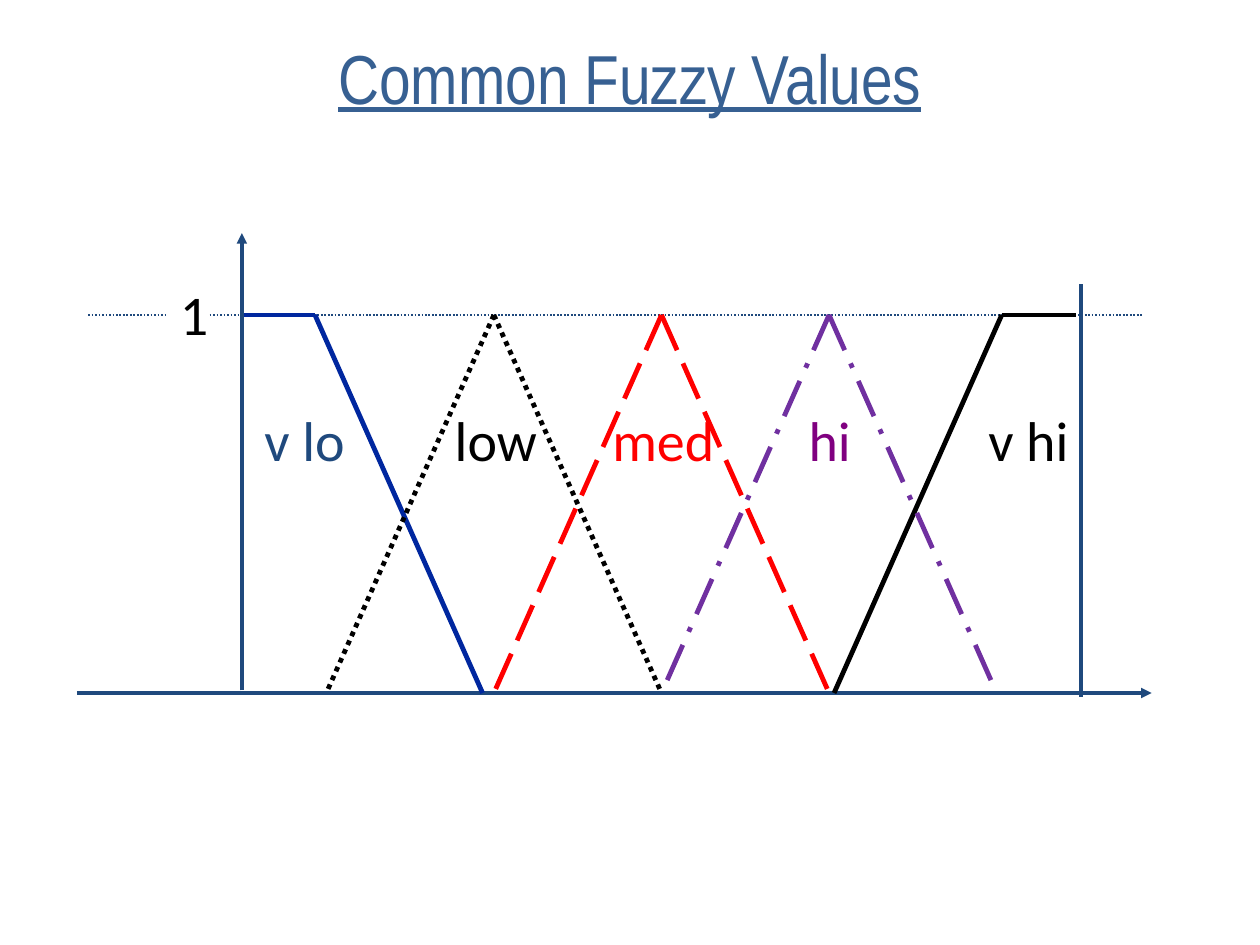
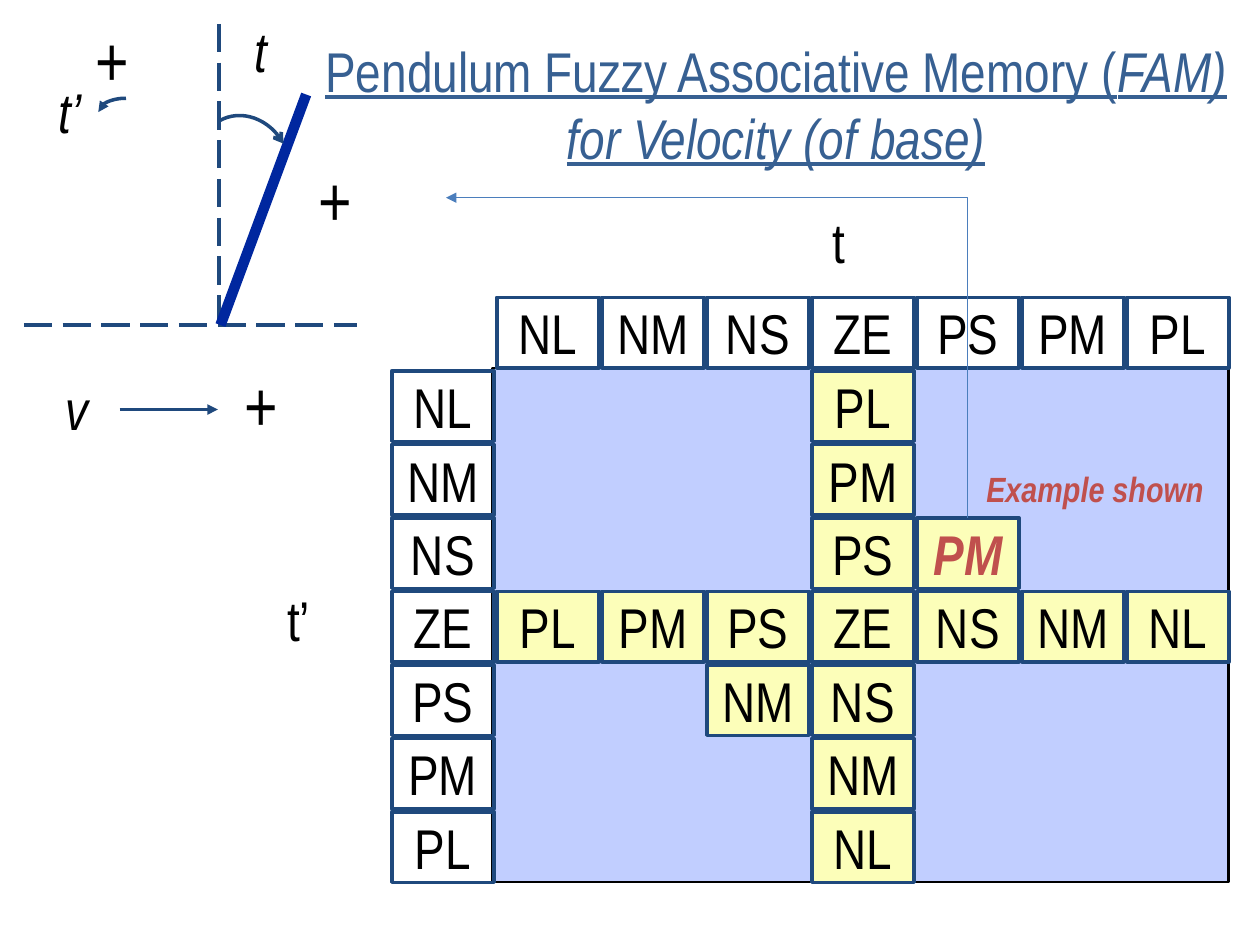
from lxml import etree
from pptx import Presentation
from pptx import util as u
from pptx.dml.color import RGBColor
from pptx.enum import dml, shapes, text
from pptx.oxml import ns

NAVY = RGBColor(0x1F, 0x49, 0x7D)
TITLE_BLUE = RGBColor(0x37, 0x60, 0x92)
DEEP_BLUE = RGBColor(0x00, 0x27, 0x9F)
CALLOUT_BLUE = RGBColor(0x4B, 0x7E, 0xBC)
GRID_BLUE = RGBColor(0xC1, 0xCE, 0xFF)
CELL_YELLOW = RGBColor(0xFC, 0xFE, 0xB9)
BLACK = RGBColor(0, 0, 0)
WHITE = RGBColor(255, 255, 255)
RED = RGBColor(255, 0, 0)
BRICK = RGBColor(0xC0, 0x50, 0x4D)
PURPLE = RGBColor(0x70, 0x30, 0xA0)
PLUM = RGBColor(0x80, 0, 0x80)

NARROW = "Arial Narrow"
LEFT, CENTER, RIGHT = text.PP_ALIGN.LEFT, text.PP_ALIGN.CENTER, text.PP_ALIGN.RIGHT
DOT = dml.MSO_LINE.ROUND_DOT
DASH = dml.MSO_LINE.LONG_DASH
DASH_DOT = dml.MSO_LINE.LONG_DASH_DOT

TOP, BASE = 2.5, 5.5
HALF_WIDTH = 1.33
LABELS = ["NL", "NM", "NS", "ZE", "PS", "PM", "PL"]
GRID_LEFT, GRID_TOP = 3.11, 2.36
COL_PITCH, ROW_PITCH = 5 / 6, 7 / 12
CELL_W, CELL_H = 0.81, 0.56


def inches(*values):
    return [u.Inches(v) for v in values]


def write(tf, lines, size=32, font=NARROW, color=BLACK, align=LEFT,
          bold=False, italic=False, underline=False, wrap=True, middle=False):
    tf.word_wrap = wrap
    tf.vertical_anchor = text.MSO_ANCHOR.MIDDLE if middle else text.MSO_ANCHOR.TOP
    p = tf.paragraphs[0]
    p.alignment = align
    for i, runs in enumerate(lines):
        if i:
            p.add_line_break()
        for words, slanted in runs:
            r = p.add_run()
            r.text = words
            f = r.font
            f.size, f.name, f.color.rgb = u.Pt(size), font, color
            f.bold, f.italic, f.underline = bold, italic or slanted, underline


def label(s, words, x, y, w, h=0.64, fill=None, **fmt):
    sp = s.shapes.add_textbox(*inches(x, y, w, h))
    if fill is not None:
        sp.fill.solid()
        sp.fill.fore_color.rgb = fill
    write(sp.text_frame, [[(words, False)]], **fmt)


def title(s, lines, x, y, w, h, size):
    sp = s.shapes.add_textbox(*inches(x, y, w, h))
    write(sp.text_frame, lines, size=size, color=TITLE_BLUE, align=CENTER,
          underline=True, middle=True)


def style_line(sp, color, width, dash=None, head=None, tail=None):
    sp.line.color.rgb = color
    sp.line.width = u.Pt(width)
    if dash is not None:
        sp.line.dash_style = dash
    ln = sp.line._get_or_add_ln()
    for tag, kind in (("a:headEnd", head), ("a:tailEnd", tail)):
        if kind:
            etree.SubElement(ln, ns.qn(tag)).set("type", kind)


def line(s, start, end, color=NAVY, width=2, elbow=False, **style):
    kind = shapes.MSO_CONNECTOR.ELBOW if elbow else shapes.MSO_CONNECTOR.STRAIGHT
    c = s.shapes.add_connector(kind, *inches(*start, *end))
    style_line(c, color, width, **style)
    etree.SubElement(c._element.spPr, ns.qn("a:effectLst"))
    return c


def corner_arrow(s, start, end, **style):
    (x1, y1), (x2, y2) = start, end
    cx, cy = (x1 + x2) / 2, (y1 + y2) / 2
    dx, dy = abs(y1 - y2) / 2, abs(x1 - x2) / 2
    c = line(s, (cx - dx, cy - dy), (cx + dx, cy + dy), elbow=True, **style)
    spPr = c._element.spPr
    spPr.find(ns.qn("a:prstGeom")).set("prst", "bentConnector2")
    xfrm = spPr.find(ns.qn("a:xfrm"))
    xfrm.set("rot", str(270 * 60000))
    xfrm.set("flipV", "1")


def curved_arrow(s, controls, head, steps=16):
    points = []
    for i in range(steps + 1):
        t = i / steps
        weights = [(1 - t) ** 3, 3 * t * (1 - t) ** 2, 3 * t * t * (1 - t), t ** 3]
        points.append(inches(*(sum(k * p[axis] for k, p in zip(weights, controls))
                               for axis in (0, 1))))
    fb = s.shapes.build_freeform(*points[0])
    fb.add_line_segments(points[1:], close=False)
    sp = fb.convert_to_shape()
    sp.shadow.inherit = False
    sp.fill.background()
    style_line(sp, NAVY, 2, head=head)


def rect(s, x, y, w, h, fill, color, width):
    sp = s.shapes.add_shape(shapes.MSO_SHAPE.RECTANGLE, *inches(x, y, w, h))
    sp.shadow.inherit = False
    if fill is None:
        sp.fill.background()
    else:
        sp.fill.solid()
        sp.fill.fore_color.rgb = fill
    style_line(sp, color, width)
    return sp


def cell(s, words, row, col, fill=CELL_YELLOW, **fmt):
    sp = rect(s, GRID_LEFT + col * COL_PITCH, GRID_TOP + row * ROW_PITCH,
              CELL_W, CELL_H, fill, NAVY, 2)
    write(sp.text_frame, [[(words, False)]], align=CENTER, wrap=False,
          middle=True, **fmt)


def membership(s, peak, ends, color, dash=None):
    for end in ends:
        line(s, (peak, TOP), end, color, 2.75, dash=dash)


def fuzzy_values(s):
    for words, x, w, color, align in (
            ("v hi", 7.61, 0.97, BLACK, RIGHT), ("v lo", 2.0, 0.87, NAVY, LEFT),
            ("med", 4.75, 1.03, RED, CENTER), ("low", 3.49, 0.89, BLACK, CENTER),
            ("hi", 6.31, 0.55, PLUM, CENTER)):
        label(s, words, x, 3.17, w, fill=WHITE, font="Calibri", color=color,
              align=align, wrap=False)
    title(s, [[("Common Fuzzy Values", False)]], 0.5, 0.3, 9, 0.62, 39.6)

    line(s, (0.61, BASE), (9.14, BASE), tail="triangle")
    line(s, (0.7, TOP), (9.06, TOP), width=1, dash=DOT)
    label(s, "1", 1.33, 2.17, 0.33, fill=WHITE, font="Calibri")
    membership(s, 2.5, [(1.92, TOP), (3.83, BASE)], DEEP_BLUE)
    line(s, (8.58, 5.53), (8.58, 2.25))
    line(s, (1.92, 5.48), (1.92, 1.85), tail="triangle")
    membership(s, 7.95, [(8.54, TOP), (6.62, BASE)], BLACK)
    for peak, color, dash in ((3.92, BLACK, DOT), (5.25, RED, DASH),
                              (6.58, PURPLE, DASH_DOT)):
        feet = [(peak - HALF_WIDTH, BASE), (peak + HALF_WIDTH, BASE)]
        membership(s, peak, feet, color, dash)


def fam_grid(s):
    rect(s, 3.91, 2.92, 5.84, 4.08, GRID_BLUE, BLACK, 1.5)
    zero = LABELS.index("ZE") + 1
    for i, (name, response) in enumerate(zip(LABELS, reversed(LABELS)), 1):
        cell(s, name, 0, i, fill=None)
        cell(s, name, i, 0, fill=None)
        cell(s, response, zero, i)
        if i != zero:
            cell(s, response, i, zero)
    cell(s, "NM", 5, 3)
    cell(s, "PM", 3, 5, color=BRICK, bold=True, italic=True)
    label(s, "t", 6.51, 1.6, 0.58)
    label(s, "t’", 2.18, 4.6, 0.58)
    label(s, "Example shown", 7.73, 3.66, 1.94, 0.44, size=20, color=BRICK,
          bold=True, italic=True, wrap=False)
    corner_arrow(s, (7.68, 4.11), (3.54, 1.57), color=CALLOUT_BLUE, width=0.75,
                 tail="triangle")


def pendulum(s):
    line(s, (1.74, 0.19), (1.74, 2.56), dash=DASH)
    line(s, (0.19, 2.58), (2.83, 2.58), dash=DASH)
    line(s, (1.75, 2.58), (2.43, 0.75), DEEP_BLUE, 6)
    curved_arrow(s, [(2.25, 1.14), (2.14, 0.94), (1.91, 0.86), (1.74, 0.96)], "arrow")
    curved_arrow(s, [(0.78, 0.89), (0.78, 0.83), (0.88, 0.78), (1, 0.78)], "triangle")
    line(s, (0.95, 3.25), (1.73, 3.25), tail="triangle")
    for words, x, y, w in (("t", 1.92, 0.08, 0.41), ("t’", 0.37, 0.57, 0.66),
                           ("v", 0.42, 2.92, 0.5)):
        label(s, words, x, y, w, italic=True)
    for x, y in ((2.43, 1.19), (1.84, 2.82), (0.66, 0.08)):
        label(s, "+", x, y, 0.58, 0.76, size=40)


def main():
    prs = Presentation()
    prs.slide_width, prs.slide_height = inches(10, 7.5)
    blank = prs.slide_layouts[6]

    fuzzy_values(prs.slides.add_slide(blank))

    s = prs.slides.add_slide(blank)
    title(s, [[("Pendulum Fuzzy Associative Memory (", False), ("FAM)", True)],
              [("for Velocity (of base)", True)]], 2.43, 0.19, 7.46, 1.27, 32)
    fam_grid(s)
    pendulum(s)

    prs.save("out.pptx")


if __name__ == "__main__":
    main()
